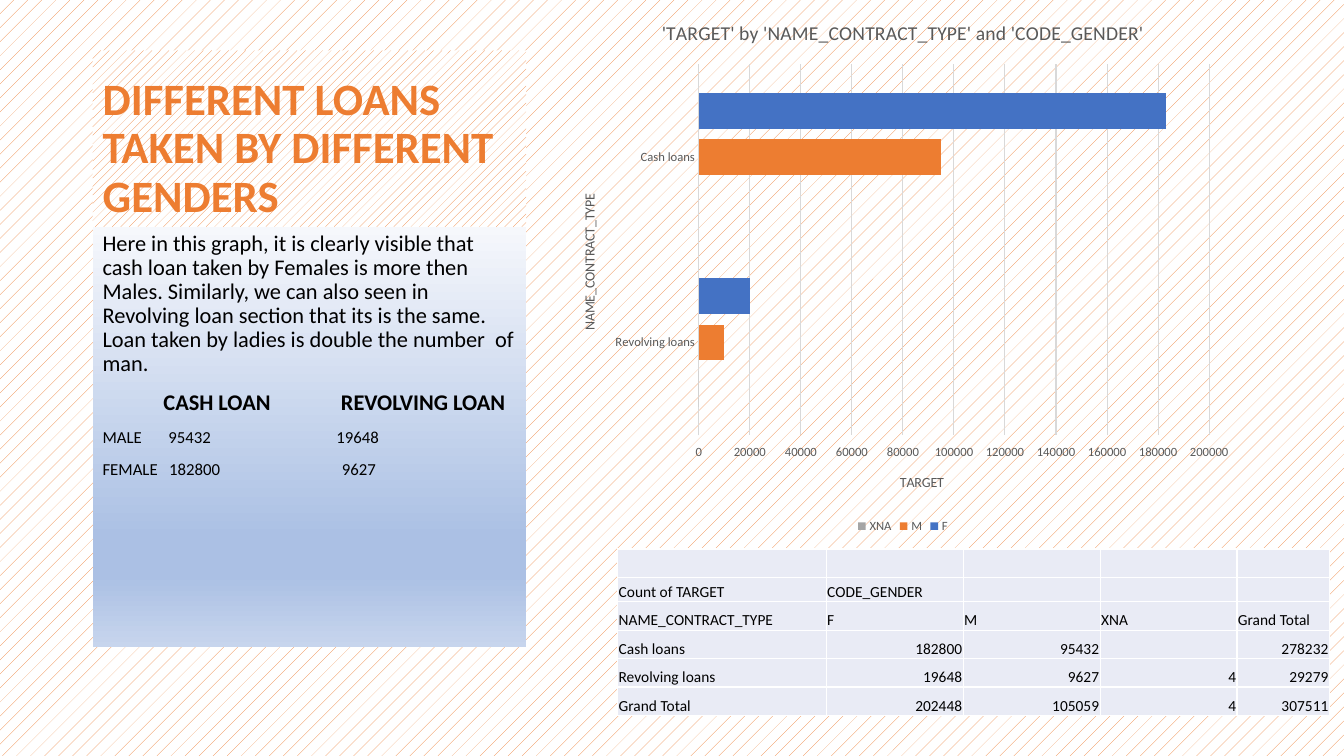
from copy import deepcopy

from lxml.etree import SubElement
from pptx import Presentation
from pptx.chart.data import CategoryChartData
from pptx.dml.color import RGBColor
from pptx.enum.chart import XL_CHART_TYPE as ChartType
from pptx.enum.chart import XL_LEGEND_POSITION as LegendPosition
from pptx.enum.chart import XL_TICK_LABEL_POSITION as LabelPosition
from pptx.enum.chart import XL_TICK_MARK as TickMark
from pptx.enum.dml import MSO_PATTERN as Pattern
from pptx.enum.text import MSO_ANCHOR as Anchor
from pptx.enum.text import PP_ALIGN as Align
from pptx.oxml.ns import qn
from pptx.util import Pt

# Style
FONT = "Calibri"
BLACK = RGBColor(0x00, 0x00, 0x00)
WHITE = RGBColor(0xFF, 0xFF, 0xFF)
ORANGE = RGBColor(0xED, 0x7D, 0x31)
BLUE = RGBColor(0x44, 0x72, 0xC4)
GRAY = RGBColor(0xA5, 0xA5, 0xA5)
DARK_GRAY = RGBColor(0x59, 0x59, 0x59)
LIGHT_GRAY = RGBColor(0xD9, 0xD9, 0xD9)
CELL_FILL = RGBColor(0xE9, 0xEB, 0xF5)
GRADIENT = [(0, "F6F8FC"), (74, "ABC0E4"), (83, "ABC0E4"), (100, "C7D5ED")]

# Content
TITLE = "DIFFERENT LOANS TAKEN BY DIFFERENT GENDERS"
SUMMARY = (
    "Here in this graph, it is clearly visible that cash loan taken by Females "
    "is more then Males. Similarly, we can also seen in Revolving loan section "
    "that its is the same. Loan taken by ladies is double the number  of man."
)
# Text, size, bold, tab stops
BODY = [
    (SUMMARY, 16, False, []),
    ("\tCASH LOAN\tREVOLVING LOAN", 16, True, [43.5, 170.3]),
    ("MALE\t95432\t19648", 12, False, [47, 167]),
    ("FEMALE\t182800\t9627", 12, False, [47.5, 171]),
]
CATEGORIES = ["Cash loans", "Revolving loans"]
SERIES = [
    ("F", (183000, 20000), BLUE),
    ("M", (95000, 10000), ORANGE),
    ("XNA", (None, 0), GRAY),
]
TABLE = [
    ["", "", "", "", ""],
    ["Count of TARGET", "CODE_GENDER", "", "", ""],
    ["NAME_CONTRACT_TYPE", "F", "M", "XNA", "Grand Total"],
    ["Cash loans", "182800", "95432", "", "278232"],
    ["Revolving loans", "19648", "9627", "4", "29279"],
    ["Grand Total", "202448", "105059", "4", "307511"],
]
COLUMN_WIDTHS = [149, 97.8, 97.8, 97.8, 66]
ROW_HEIGHTS = [20.3, 17.3, 20.3, 20.3, 20.3, 20.3]


def set_font(font, size, color, bold=False):
    font.name, font.size, font.bold = FONT, Pt(size), bold
    font.color.rgb = color


def set_pattern(fill, pattern):
    fill.patterned()
    fill.pattern = pattern
    fill.fore_color.rgb = ORANGE
    fill.back_color.rgb = WHITE


class LoanSlide:
    def __init__(self, presentation):
        self.slide = presentation.slides.add_slide(presentation.slide_layouts[5])
        set_pattern(self.slide.background.fill, Pattern.PERCENT_5)

    def add_title(self, text, left, top, width, height):
        title = self.slide.shapes.title
        title.left, title.top = Pt(left), Pt(top)
        title.width, title.height = Pt(width), Pt(height)
        set_pattern(title.fill, Pattern.PERCENT_20)
        frame = title.text_frame
        frame.text = text
        frame.word_wrap = True
        frame.vertical_anchor = Anchor.BOTTOM
        paragraph = frame.paragraphs[0]
        paragraph.alignment = Align.LEFT
        paragraph.line_spacing = 0.9
        set_font(paragraph.runs[0].font, 32, ORANGE, True)

    def add_body(self, lines, left, top, width, height):
        box = self.slide.shapes.add_textbox(Pt(left), Pt(top), Pt(width), Pt(height))
        self.fill_gradient(box)
        frame = box.text_frame
        frame.word_wrap = True
        frame.text = "\n".join(line[0] for line in lines)
        for paragraph, (_, size, bold, stops) in zip(frame.paragraphs, lines):
            paragraph.line_spacing = 0.9
            paragraph.space_before = Pt(10)
            for run in paragraph.runs:
                set_font(run.font, size, BLACK, bold)
            if stops:
                properties = paragraph._p.get_or_add_pPr()
                tab_list = SubElement(properties, qn("a:tabLst"))
                for stop in stops:
                    SubElement(tab_list, qn("a:tab"), pos=str(Pt(stop)), algn="l")

    def fill_gradient(self, shape):
        shape.fill.gradient()
        shape.fill.gradient_angle = 270
        stop_list = next(shape._element.iter(qn("a:gsLst")))
        template = deepcopy(stop_list[0])
        for stop in list(stop_list):
            stop_list.remove(stop)
        for position, color in GRADIENT:
            stop = deepcopy(template)
            stop.set("pos", str(position * 1000))
            for child in list(stop):
                stop.remove(child)
            SubElement(stop, qn("a:srgbClr"), val=color)
            stop_list.append(stop)

    def add_chart(self, title, left, top, width, height):
        data = CategoryChartData()
        data.categories = CATEGORIES
        for name, values, _ in SERIES:
            data.add_series(name, values)
        chart = self.slide.shapes.add_chart(
            ChartType.BAR_CLUSTERED, Pt(left), Pt(top), Pt(width), Pt(height), data
        ).chart
        set_font(chart.font, 10, BLACK)
        self.set_chart_title(chart.chart_title, title, 14)

        # Bars
        plot = chart.plots[0]
        plot.gap_width, plot.overlap, plot.vary_by_categories = 160, -30, False
        for series, (_, _, color) in zip(plot.series, SERIES):
            series.format.fill.solid()
            series.format.fill.fore_color.rgb = color
            series.invert_if_negative = False

        # Axes
        category_axis, value_axis = chart.category_axis, chart.value_axis
        for axis, name in ((category_axis, "NAME_CONTRACT_TYPE"), (value_axis, "TARGET")):
            axis.major_tick_mark = axis.minor_tick_mark = TickMark.NONE
            set_font(axis.tick_labels.font, 9, DARK_GRAY)
            self.set_chart_title(axis.axis_title, name, 10)
        category_axis.axis_title.text_frame._txBody.bodyPr.set("rot", "-5400000")
        category_axis.reverse_order = True
        value_axis.tick_label_position = LabelPosition.HIGH
        value_axis.format.line.fill.background()
        value_axis.has_major_gridlines = True
        for line in (category_axis.format.line, value_axis.major_gridlines.format.line):
            line.color.rgb = LIGHT_GRAY
            line.width = Pt(0.75)

        # Legend
        chart.has_legend = True
        chart.legend.position = LegendPosition.BOTTOM
        chart.legend.include_in_layout = False
        set_font(chart.legend.font, 9, DARK_GRAY)

        # Plot area as fractions of the chart
        plot_area = next(chart._chartSpace.iter(qn("c:plotArea")))
        for old_layout in plot_area.findall(qn("c:layout")):
            plot_area.remove(old_layout)
        layout = SubElement(plot_area, qn("c:layout"))
        plot_area.insert(0, layout)
        manual = SubElement(layout, qn("c:manualLayout"))
        for tag, value in (("layoutTarget", "inner"), ("xMode", "edge"), ("yMode", "edge"),
                           ("x", "0.2"), ("y", "0.12"), ("w", "0.75"), ("h", "0.69")):
            SubElement(manual, qn("c:" + tag), val=value)

    def set_chart_title(self, title, text, size):
        title.text_frame.text = text
        set_font(title.text_frame.paragraphs[0].runs[0].font, size, DARK_GRAY)

    def add_table(self, rows, left, top):
        table = self.slide.shapes.add_table(
            len(rows), len(COLUMN_WIDTHS), Pt(left), Pt(top),
            Pt(sum(COLUMN_WIDTHS)), Pt(sum(ROW_HEIGHTS)),
        ).table
        table.first_row = table.horz_banding = False
        for column, width in zip(table.columns, COLUMN_WIDTHS):
            column.width = Pt(width)
        for row, height, texts in zip(table.rows, ROW_HEIGHTS, rows):
            row.height = Pt(height)
            for cell, text in zip(row.cells, texts):
                self.set_cell(cell, text)

    def set_cell(self, cell, text):
        cell.fill.solid()
        cell.fill.fore_color.rgb = CELL_FILL
        cell.vertical_anchor = Anchor.BOTTOM
        cell.margin_left = cell.margin_right = cell.margin_top = Pt(0.7)
        cell.margin_bottom = 0
        cell.text_frame.text = text
        paragraph = cell.text_frame.paragraphs[0]
        paragraph.alignment = Align.RIGHT if text.isdigit() else Align.LEFT
        for run in paragraph.runs:
            set_font(run.font, 11, BLACK)
        if not text:
            SubElement(paragraph._p, qn("a:endParaRPr"), sz="1100")


def main():
    presentation = Presentation()
    presentation.slide_width, presentation.slide_height = Pt(960), Pt(540)
    slide = LoanSlide(presentation)
    slide.add_title(TITLE, 66.2, 36, 309.6, 126)
    slide.add_body(BODY, 66.2, 162, 309.6, 300)
    slide.add_chart("'TARGET' by 'NAME_CONTRACT_TYPE' and 'CODE_GENDER'", 402, 0, 486, 384)
    slide.add_table(TABLE, 441.2, 392.2)
    presentation.save("out.pptx")


if __name__ == "__main__":
    main()
